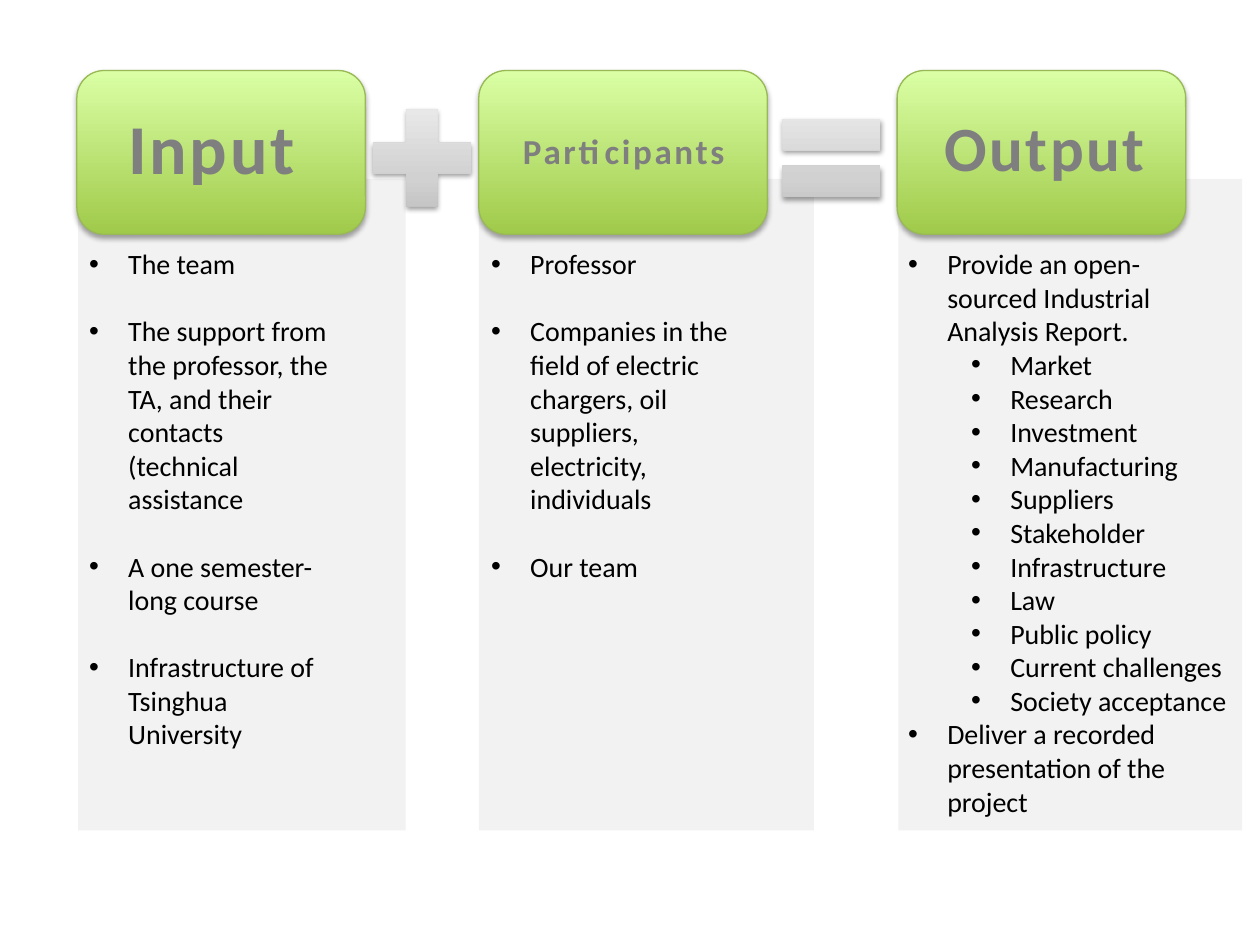
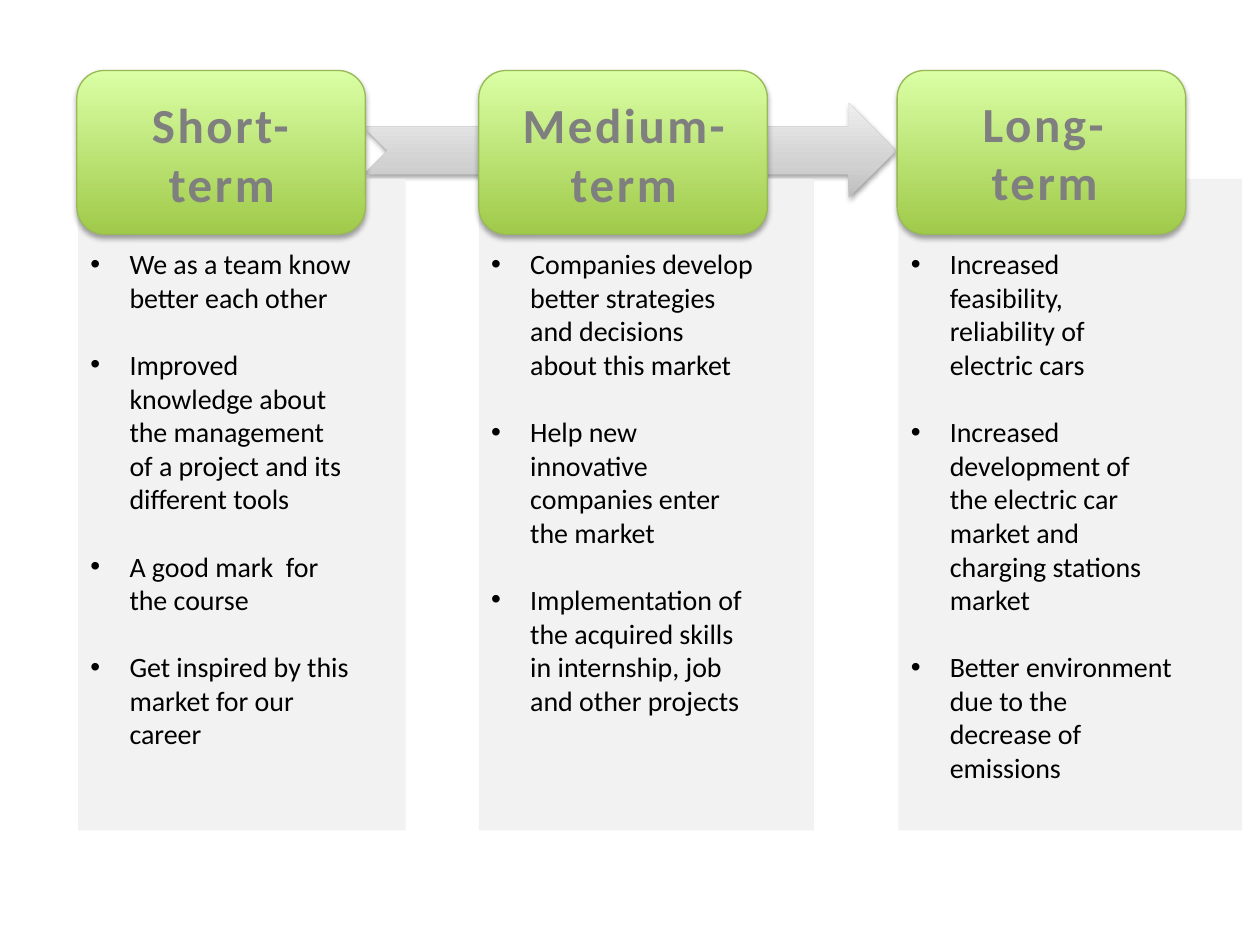
from pptx import Presentation, util as u
from pptx.dml.color import RGBColor
from pptx.enum import shapes, text
from pptx.oxml import parse_xml
from pptx.oxml.ns import nsdecls, qn

PANEL = RGBColor(0xF2, 0xF2, 0xF2)
EDGE = RGBColor(0x98, 0xB9, 0x55)
HEAD = RGBColor(0x7F, 0x7F, 0x7F)
BODY = RGBColor(0, 0, 0)
GREEN = [(0, RGBColor(0xA0, 0xCA, 0x4A)), (100, RGBColor(0xDA, 0xFF, 0xA5))]
GREY = [(0, RGBColor(0xBD, 0xBD, 0xBD)), (35, RGBColor(0xD1, 0xD1, 0xD1)),
        (100, RGBColor(0xEE, 0xEE, 0xEE))]
FONT = "Calibri"
FORM = shapes.MSO_SHAPE
PANELS = [(0.62, 2.6), (3.8, 2.66), (7.13, 2.73)]
TILES = [0.61, 3.8, 7.12]
HEADFMT = {"name": FONT, "bold": True}
BODYFMT = {"name": FONT, "size": u.Pt(16)}
LINE = u.Pt(19.2)

INPUT = ["The team",
         "The support from the professor, the TA, and their contacts "
         "(technical assistance",
         "A one semester-long course",
         "Infrastructure of Tsinghua University"]
PEOPLE = ["Professor",
          "Companies in the field of electric chargers, oil suppliers, "
          "electricity, individuals",
          "Our team"]
REPORT = "Provide an open-sourced Industrial Analysis Report."
TOPICS = ["Market", "Research", "Investment", "Manufacturing", "Suppliers",
          "Stakeholder", "Infrastructure", "Law", "Public policy",
          "Current challenges", "Society acceptance"]
TALK = "Deliver a recorded presentation of the project"
SHORT = ["We as a team know better each other",
         "Improved knowledge about the management of a project and its "
         "different tools",
         "A good mark  for the course",
         "Get inspired by this market for our career"]
MEDIUM = ["Companies develop better strategies and decisions about this market",
          "Help new innovative companies enter the market",
          "Implementation of the acquired skills in internship, job and "
          "other projects"]
LONG = ["Increased feasibility, reliability of electric cars",
        "Increased development of the electric car market and charging "
        "stations market",
        "Better environment due to the decrease of emissions"]


def style(obj, fmt):
    for key, value in fmt.items():
        setattr(obj, key, value)


def add_form(slide, form, box):
    shape = slide.shapes.add_shape(form, *map(u.Inches, box))
    shape.shadow.inherit = False
    shape.line.fill.background()
    return shape


def add_panel(slide, left, width):
    shape = add_form(slide, FORM.RECTANGLE, (left, 1.42, width, 5.17))
    shape.fill.solid()
    shape.fill.fore_color.rgb = PANEL


def add_glossy(slide, form, box, stops, alpha, dist):
    shape = add_form(slide, form, box)
    shape.fill.gradient()
    shape.fill.gradient_angle = 90
    props = shape._element.spPr
    grad = props.find(qn("a:gradFill"))
    marks = "".join(
        f'<a:gs pos="{pos * 1000}"><a:srgbClr val="{color}"/></a:gs>'
        for pos, color in stops)
    grad.replace(grad.find(qn("a:gsLst")), parse_xml(
        f'<a:gsLst {nsdecls("a")}>{marks}</a:gsLst>'))
    props.find(qn("a:effectLst")).append(parse_xml(
        f'<a:outerShdw {nsdecls("a")} blurRad="{u.Pt(3.1)}" '
        f'dist="{u.Pt(dist)}" dir="5400000" rotWithShape="0">'
        f'<a:srgbClr val="000000"><a:alpha val="{alpha * 1000}"/>'
        '</a:srgbClr></a:outerShdw>'))
    return shape


def add_tile(slide, left):
    box = (left, 0.56, 2.29, 1.3)
    tile = add_glossy(slide, FORM.ROUNDED_RECTANGLE, box, GREEN, 35, 1.8)
    tile.line.color.rgb = EDGE
    tile.line.width = u.Pt(0.75)


def add_sign(slide, form, box):
    add_glossy(slide, form, box, GREY, 38, 1.6)


def add_frame(slide, box):
    frame = slide.shapes.add_textbox(*map(u.Inches, box)).text_frame
    style(frame, {"word_wrap": True,
                  "auto_size": text.MSO_AUTO_SIZE.SHAPE_TO_FIT_TEXT})
    return frame


def add_run(para, words, fmt, color):
    run = para.add_run()
    run.text = words
    style(run.font, fmt)
    run.font.color.rgb = color
    return run


def add_head(slide, words, box, size):
    frame = add_frame(slide, box)
    for i, line in enumerate(words.split("\n")):
        para = frame.add_paragraph() if i else frame.paragraphs[0]
        para.alignment = text.PP_ALIGN.CENTER
        run = add_run(para, line, {**HEADFMT, "size": u.Pt(size)}, HEAD)
        run.font._element.set("spc", "150")


def add_list(slide, items, box, gap=LINE):
    frame = add_frame(slide, box)
    for i, item in enumerate(items):
        words, level = item if isinstance(item, tuple) else (item, 0)
        para = frame.add_paragraph() if i else frame.paragraphs[0]
        style(para, {"level": level, "space_before": gap if i else u.Pt(0)})
        props = para._p.get_or_add_pPr()
        props.set("marL", str(u.Inches(0.31 + 0.5 * level)))
        props.set("indent", str(-u.Inches(0.31)))
        props.append(parse_xml(f'<a:buFont {nsdecls("a")} typeface="Arial"/>'))
        props.append(parse_xml(f'<a:buChar {nsdecls("a")} char="•"/>'))
        add_run(para, words, BODYFMT, BODY)


def add_base(slide):
    for left, width in PANELS:
        add_panel(slide, left, width)
    for left in TILES:
        add_tile(slide, left)


def build_sum(slide):
    add_base(slide)
    add_sign(slide, FORM.MATH_PLUS, (2.82, 0.73, 1.06, 1.05))
    add_sign(slide, FORM.MATH_EQUAL, (6.07, 0.73, 1.06, 1.05))
    add_head(slide, "Input", (0.72, 0.78, 1.92, 0.77), 40)
    add_head(slide, "Participants", (3.99, 0.98, 1.92, 0.44), 20)
    add_head(slide, "Output", (7.33, 0.81, 1.92, 0.71), 36)
    add_list(slide, INPUT, (0.61, 1.91, 2.16, 4.27))
    add_list(slide, PEOPLE, (3.8, 1.91, 2.29, 2.79))
    goals = [REPORT, *((topic, 1) for topic in TOPICS), TALK]
    add_list(slide, goals, (7.11, 1.91, 2.75, 4.68), u.Pt(0))


def build_terms(slide):
    add_sign(slide, FORM.NOTCHED_RIGHT_ARROW, (2.89, 0.82, 4.22, 0.75))
    add_base(slide)
    add_head(slide, "Short-term", (0.8, 0.7, 1.92, 1.04), 28)
    add_head(slide, "Medium-\nterm", (3.99, 0.7, 1.92, 1.04), 28)
    add_head(slide, "Long-term", (7.33, 0.69, 1.92, 1.04), 28)
    add_list(slide, SHORT, (0.62, 1.91, 2.27, 4.41))
    add_list(slide, MEDIUM, (3.8, 1.91, 2.29, 3.87))
    add_list(slide, LONG, (7.13, 1.91, 2.28, 4.41))


def main():
    deck = Presentation()
    style(deck, {"slide_width": u.Inches(10), "slide_height": u.Inches(7.5)})
    for build in (build_sum, build_terms):
        build(deck.slides.add_slide(deck.slide_layouts[6]))
    deck.save("out.pptx")


main()
